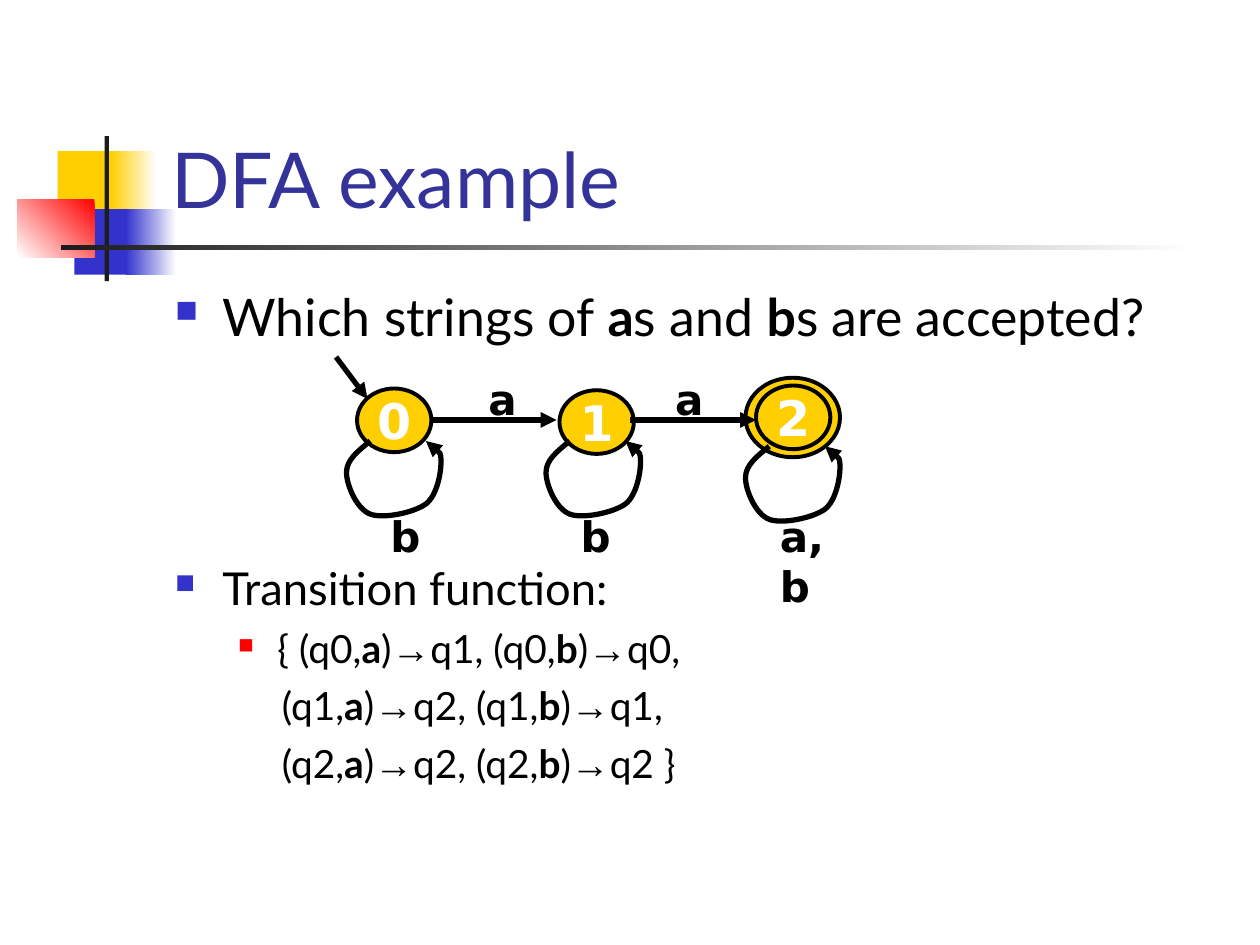
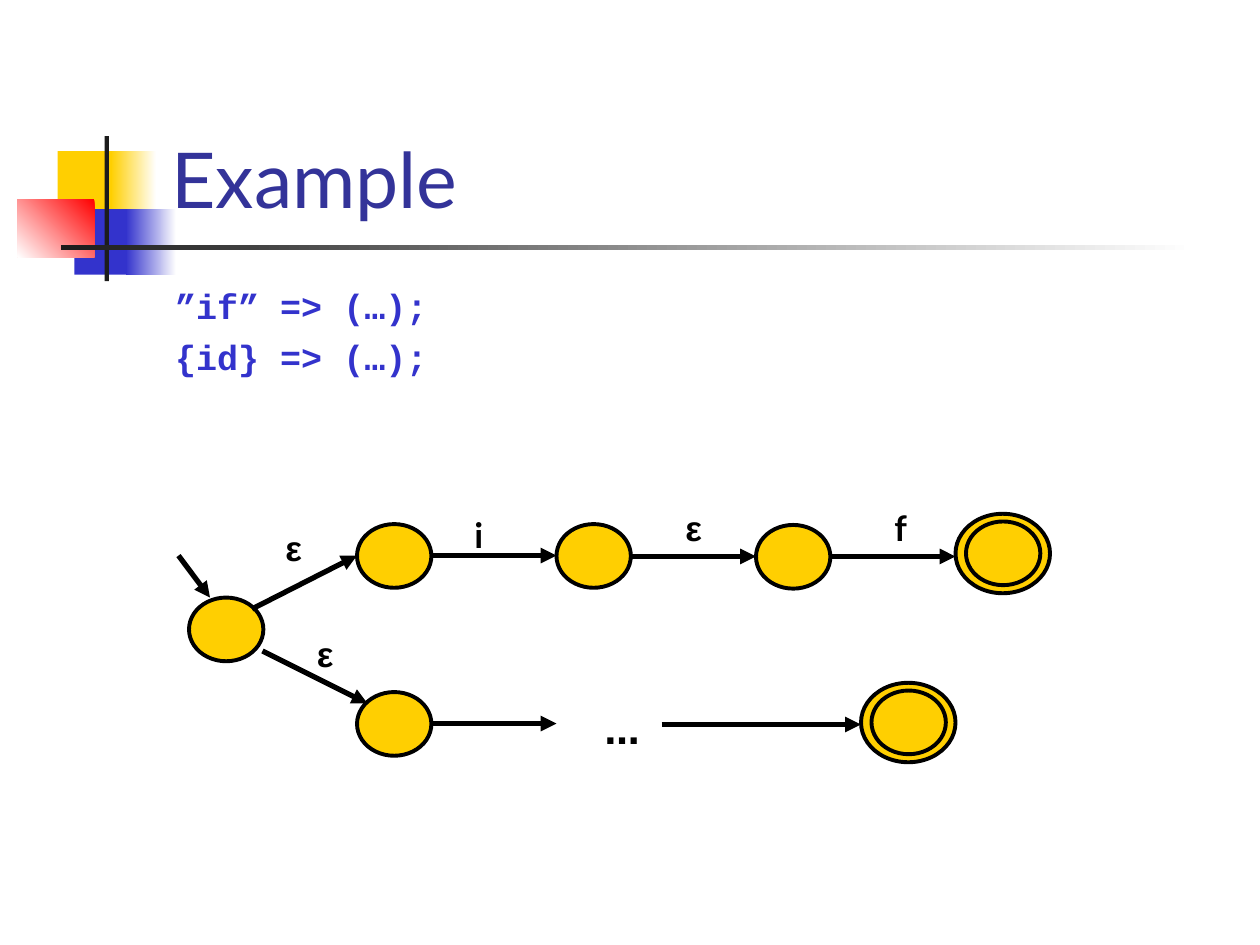
from lxml import etree
from pptx import Presentation
from pptx.dml.color import RGBColor
from pptx.enum import shapes, text
from pptx.oxml import ns
from pptx.util import Pt

HUE = {"gold": "FFCF01", "blue": "3333CC", "navy": "333399", "red": "FF0000",
       "dark": "1C1C1C", "black": "000000", "white": "FFFFFF"}
OVAL = shapes.MSO_SHAPE.OVAL
RECT = shapes.MSO_SHAPE.RECTANGLE


def draw(slide, kind, box, tone, edge=False):
    shape = slide.shapes.add_shape(kind, *[Pt(v) for v in box])
    shape.shadow.inherit = False
    if isinstance(tone, str):
        shape.fill.solid()
        shape.fill.fore_color.rgb = RGBColor.from_string(HUE[tone])
    else:
        first, last, angle = tone
        shape.fill.gradient()
        shape.fill.gradient_angle = angle
        for stop, name in zip(shape.fill.gradient_stops, (first, last)):
            stop.color.rgb = RGBColor.from_string(HUE[name])
    if edge:
        shape.line.color.rgb = RGBColor.from_string(HUE["black"])
        shape.line.width = Pt(2.25)
    else:
        shape.line.fill.background()
    return shape


def say(para, words, size, font, tone, bold):
    run = para.add_run()
    run.text = words
    run.font.size = Pt(size)
    run.font.name = font
    run.font.bold = bold
    run.font.color.rgb = RGBColor.from_string(HUE[tone])


deck = Presentation()
deck.slide_width, deck.slide_height = Pt(720), Pt(540)
layout = deck.slide_layouts[5]

BANDS = [
    ((33, 86.4, 34.6, 37.4), "gold"),
    ((63.4, 86.4, 25.9, 37.4), ("white", "gold", 180)),
    ((42.5, 119.5, 33.1, 37.4), "blue"),
    ((72, 119.5, 28.8, 37.4), ("white", "blue", 180)),
    ((10, 113.8, 44, 33.1), ("red", "white", 225)),
    ((59.8, 77.8, 2.5, 82.8), "dark"),
    ((34.6, 140.2, 648, 2.5), ("white", "dark", 180)),
]

PAGES = [
    {
        "title": "DFA example",
        "body": [
            ("Which strings of |a|s and |b|s are accepted?", 29.6, 8, 27, -27, ("blue", 60)),
            ("Transition function:", 25.9, 122, 27, -27, ("blue", 60)),
            ("{ (q0,|a|)→q1, (q0,|b|)→q0,", 22.2, 6, 58.5, -22.5, ("red", 55)),
            ("(q1,|a|)→q2, (q1,|b|)→q1,", 22.2, 6, 61, 0, None),
            ("(q2,|a|)→q2, (q2,|b|)→q2 }", 22.2, 6, 61, 0, None),
        ],
        "nodes": [("0", 204, 222, False), ("1", 319.7, 223, False), ("2", 432, 220.3, True)],
        "lines": [(246, 240, 318, 240), (360, 240, 432, 240), (192, 204, 210, 228)],
        "loops": [(198, 252), (312, 252), (426, 255)],
        "marks": [("a", 272, 210, 29), ("a", 378.7, 210, 29), ("b", 216, 288, 29.5),
                  ("b", 324.7, 288, 29.5), ("a,b", 438.5, 288, 51)],
        "mark font": ("DejaVu Sans", 24),
    },
    {
        "title": "Example",
        "body": [("|”if” => (…);", 20, 5, 0, 0, None), ("|{id} => (…);", 20, 5, 0, 0, None)],
        "nodes": [("", 204, 299.5, False), ("", 318, 299.5, False), ("", 432, 300, False),
                  ("", 552, 298, True), ("", 108, 341.5, False), ("", 204, 395.5, False),
                  ("", 498, 394.6, True)],
        "lines": [(246, 317.5, 318, 317.5), (360, 318, 432, 318), (474, 318, 546, 318),
                  (102, 317.5, 120, 341.5), (144, 348, 204, 317.5), (150, 372, 210, 402),
                  (246, 413.5, 318, 413.5), (378, 414, 492, 414)],
        "loops": [],
        "marks": [("i", 264, 290, 20), ("ε", 156, 297.5, 23), ("ε", 174, 358, 23),
                  ("ε", 384.5, 286, 23), ("f", 504, 286, 22.5), ("…", 338.4, 402, 31.7)],
        "mark font": ("Lato", 20),
    },
]
FONTS = {"ε": "Arial", "…": "DejaVu Sans"}
CURVE = [(13.6, 0), (6.5, 5.8), (0, 10.8), (0, 18), (0, 25.2), (5.8, 38.9), (13.6, 41.8),
         (21, 44.6), (38.4, 41), (45.4, 36), (51.8, 31), (54, 18), (54, 12.2),
         (54, 5.8), (49.8, 2.9), (45.4, 0)]

for page in PAGES:
    slide = deck.slides.add_slide(layout)
    if page is PAGES[0]:
        for place, (box, tone) in enumerate(BANDS, 2):
            band = draw(slide, RECT, box, tone)
            layout.shapes._spTree.insert(place, band._element)

    title = slide.shapes.title
    title.left, title.top, title.width, title.height = Pt(90.7), Pt(16.5), Pt(613.5), Pt(115)
    frame = title.text_frame
    frame.auto_size = text.MSO_AUTO_SIZE.NONE
    frame.vertical_anchor = text.MSO_ANCHOR.BOTTOM
    frame.paragraphs[0].alignment = text.PP_ALIGN.LEFT
    say(frame.paragraphs[0], page["title"], 44, "Lato", "navy", False)

    frame = slide.shapes.add_textbox(Pt(93), Pt(159), Pt(612), Pt(324)).text_frame
    frame.word_wrap = True
    code = page["title"] == "Example"
    for row, (words, size, gap, margin, indent, bullet) in enumerate(page["body"]):
        para = frame.add_paragraph() if row else frame.paragraphs[0]
        para.space_before = Pt(gap)
        props = para._p.get_or_add_pPr()
        props.set("marL", str(Pt(margin)))
        props.set("indent", str(Pt(indent)))
        if bullet:
            tone, scale = bullet
            tint = etree.SubElement(props, ns.qn("a:buClr"))
            etree.SubElement(tint, ns.qn("a:srgbClr"), val=HUE[tone])
            etree.SubElement(props, ns.qn("a:buSzPct"), val=str(scale * 1000))
            etree.SubElement(props, ns.qn("a:buChar"), char="■")
        for turn, piece in enumerate(words.split("|")):
            for part in piece.replace("→", "|→|").split("|"):
                if part:
                    font = "Courier New" if code else "Arial" if part == "→" else "Lato"
                    say(para, part, size, font, "blue" if code else "black", turn % 2 == 1)

    for name, x, y, final in page["nodes"]:
        if final:
            draw(slide, OVAL, (x - 6, y - 4.4, 54, 45.4), "gold", True)
        node = draw(slide, OVAL, (x, y, 42.5, 36.4), "gold", True)
        if name:
            frame = node.text_frame
            frame.word_wrap = False
            frame.vertical_anchor = text.MSO_ANCHOR.MIDDLE
            frame.paragraphs[0].alignment = text.PP_ALIGN.CENTER
            say(frame.paragraphs[0], name, 28, "DejaVu Sans", "white", True)

    arrows = []
    for ends in page["lines"]:
        line = slide.shapes.add_connector(shapes.MSO_CONNECTOR.STRAIGHT, *[Pt(v) for v in ends])
        etree.SubElement(line._element.spPr, ns.qn("a:effectLst"))
        arrows.append(line)
    for x, y in page["loops"]:
        dots = [(Pt(x + dx), Pt(y + dy)) for dx, dy in CURVE]
        pen = slide.shapes.build_freeform(*dots[0])
        pen.add_line_segments(dots[1:], close=False)
        loop = pen.convert_to_shape()
        loop.shadow.inherit = False
        loop.fill.background()
        track = loop._element.find(".//" + ns.qn("a:path"))
        steps = track.findall(ns.qn("a:lnTo"))
        for k in range(0, len(steps), 3):
            bend = etree.SubElement(track, ns.qn("a:cubicBezTo"))
            for step in steps[k:k + 3]:
                bend.append(step[0])
                track.remove(step)
        arrows.append(loop)
    for arrow in arrows:
        arrow.line.color.rgb = RGBColor.from_string(HUE["black"])
        arrow.line.width = Pt(3)
        etree.SubElement(arrow.line._get_or_add_ln(), ns.qn("a:tailEnd"), type="triangle")

    font, size = page["mark font"]
    for mark, x, y, width in page["marks"]:
        frame = slide.shapes.add_textbox(Pt(x), Pt(y), Pt(width), Pt(size * 1.5)).text_frame
        frame.word_wrap = True
        say(frame.paragraphs[0], mark, size, FONTS.get(mark, font), "black", True)

deck.save("out.pptx")
